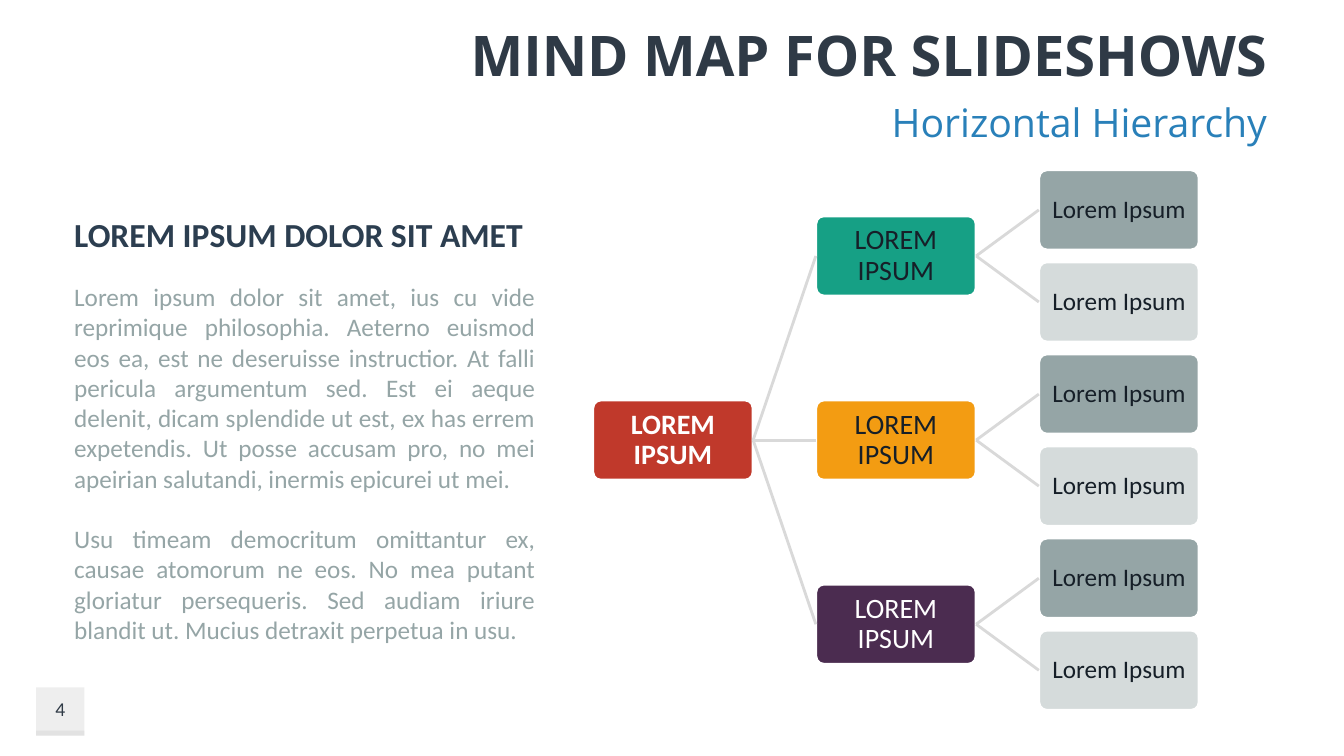
from dataclasses import dataclass
from typing import Any

from lxml import etree
from pptx import Presentation
from pptx import util as u
from pptx.dml import color
from pptx.enum import shapes, text
from pptx.oxml import ns


@dataclass(frozen=True)
class Theme:
    heading_font: str = "Open Sans"
    body_font: str = "Calibri"
    title_size: int = 40
    subtitle_size: int = 28
    intro_size: int = 24
    branch_size: int = 20
    body_size: int = 18
    number_size: int = 14
    slate: str = "2F3A46"
    sky: str = "2980B9"
    navy: str = "2C3E50"
    ink: str = "161F28"
    white: str = "FFFFFF"
    red: str = "C0392B"
    green: str = "16A085"
    orange: str = "F39C12"
    purple: str = "4B2C50"
    grey: str = "95A5A6"
    mist: str = "D5DBDB"
    link: str = "D9D9D9"
    badge: str = "BFBFBF"


@dataclass(frozen=True)
class Box:
    left: float
    top: float
    width: float
    height: float

    def lengths(self) -> list[u.Length]:
        return [u.Cm(v) for v in (self.left, self.top, self.width, self.height)]


@dataclass(frozen=True)
class Style:
    size: int
    colour: str
    font: str = Theme.body_font
    bold: bool = False
    align: Any = text.PP_ALIGN.LEFT
    anchor: Any = text.MSO_ANCHOR.TOP
    spacing: float = 1.0
    gap: float = 0


@dataclass(frozen=True)
class Node:
    label: str
    fill: str
    style: Style


@dataclass(frozen=True)
class Caption:
    box: Box
    style: Style
    paragraphs: tuple[str, ...]


THEME = Theme()
ALIGN = text.PP_ALIGN
ANCHOR = text.MSO_ANCHOR
NODE_WIDTH, NODE_HEIGHT = 4.04, 2.02
ROOT_LEFT, COLUMN_STEP = 14.94, 5.62
LEAF_TOP, LEAF_STEP = 4.28, 2.32
NODE_INSET = 0.13
TOP_SIDE, LEFT_SIDE, BOTTOM_SIDE, RIGHT_SIDE = range(4)


def apply(target: Any, values: dict[str, Any]) -> None:
    for name, value in values.items():
        setattr(target, name, value)


def rgb(value: str) -> color.RGBColor:
    return color.RGBColor.from_string(value)


def write(frame: Any, style: Style, paragraphs: tuple[str, ...]) -> None:
    apply(frame, {"word_wrap": True, "vertical_anchor": style.anchor})
    for index, words in enumerate(paragraphs):
        paragraph = frame.paragraphs[0] if index == 0 else frame.add_paragraph()
        apply(paragraph, {
            "alignment": style.align,
            "line_spacing": style.spacing,
            "space_before": u.Pt(style.gap if index else 0),
        })
        run = paragraph.add_run()
        run.text = words
        apply(run.font, {"name": style.font, "size": u.Pt(style.size), "bold": style.bold})
        run.font.color.rgb = rgb(style.colour)


def add_caption(slide: Any, caption: Caption) -> None:
    write(slide.shapes.add_textbox(*caption.box.lengths()).text_frame,
          caption.style, caption.paragraphs)


def add_filled(slide: Any, kind: Any, box: Box, fill: str) -> Any:
    shape = slide.shapes.add_shape(kind, *box.lengths())
    shape.shadow.inherit = False
    shape.fill.solid()
    shape.fill.fore_color.rgb = rgb(fill)
    return shape


def add_badge(slide: Any, box: Box) -> None:
    badge = add_filled(slide, shapes.MSO_SHAPE.RECTANGLE, box, THEME.badge)
    badge.line.fill.background()
    tint = badge.element.spPr.find(".//" + ns.qn("a:srgbClr"))
    etree.SubElement(tint, ns.qn("a:alpha"), val="25000")


def add_node(slide: Any, node: Node, column: int, row: float) -> Any:
    box = Box(ROOT_LEFT + column * COLUMN_STEP, LEAF_TOP + row * LEAF_STEP,
              NODE_WIDTH, NODE_HEIGHT)
    shape = add_filled(slide, shapes.MSO_SHAPE.ROUNDED_RECTANGLE, box, node.fill)
    shape.adjustments[0] = 0.1
    shape.line.color.rgb = rgb(THEME.white)
    shape.line.width = u.Pt(2)
    sides = ("left", "top", "right", "bottom")
    apply(shape.text_frame, {f"margin_{side}": u.Cm(NODE_INSET) for side in sides})
    write(shape.text_frame, node.style, (node.label,))
    return shape


def add_link(slide: Any, parent: Any, child: Any) -> None:
    link = slide.shapes.add_connector(shapes.MSO_CONNECTOR.STRAIGHT, 0, 0, 0, 0)
    link.begin_connect(parent, RIGHT_SIDE)
    link.end_connect(child, LEFT_SIDE)
    link.line.color.rgb = rgb(THEME.link)
    link.line.width = u.Pt(2)
    etree.SubElement(link.element.spPr, ns.qn("a:effectLst"))


def node_style(size: int, colour: str, bold: bool = False) -> Style:
    return Style(size, colour, bold=bold, align=ALIGN.CENTER,
                 anchor=ANCHOR.MIDDLE, spacing=0.9)


def add_hierarchy(slide: Any) -> None:
    branch_label = "LOREM IPSUM"
    root = Node(branch_label, THEME.red, node_style(THEME.branch_size, THEME.white, True))
    branches = [
        Node(branch_label, fill, node_style(THEME.branch_size, ink))
        for fill, ink in ((THEME.green, THEME.ink), (THEME.orange, THEME.ink),
                          (THEME.purple, THEME.white))
    ]
    leaves = [Node("Lorem Ipsum", fill, node_style(THEME.body_size, THEME.ink))
              for fill in (THEME.grey, THEME.mist)]
    pairs = []
    trunk = add_node(slide, root, 0, (len(branches) * len(leaves) - 1) / 2)
    for index, branch in enumerate(branches):
        first_row = index * len(leaves)
        limb = add_node(slide, branch, 1, first_row + (len(leaves) - 1) / 2)
        pairs.append((trunk, limb))
        for offset, leaf in enumerate(leaves):
            pairs.append((limb, add_node(slide, leaf, 2, first_row + offset)))
    for parent, child in pairs:
        add_link(slide, parent, child)


CAPTIONS = (
    Caption(Box(4.95, 0.38, 27.23, 1.96),
            Style(THEME.title_size, THEME.slate, THEME.heading_font, True,
                  ALIGN.RIGHT, ANCHOR.MIDDLE),
            ("MIND MAP FOR SLIDESHOWS",)),
    Caption(Box(4.95, 2.36, 27.23, 1.45),
            Style(THEME.subtitle_size, THEME.sky, THEME.heading_font, align=ALIGN.RIGHT),
            ("Horizontal Hierarchy",)),
    Caption(Box(1.62, 5.25, 12.12, 1.27),
            Style(THEME.intro_size, THEME.navy, bold=True, anchor=ANCHOR.BOTTOM),
            ("LOREM IPSUM DOLOR SIT AMET",)),
    Caption(Box(1.62, 6.97, 12.12, 9.5),
            Style(THEME.body_size, THEME.grey, align=ALIGN.JUSTIFY, gap=21.6),
            ("Lorem ipsum dolor sit amet, ius cu vide reprimique philosophia. Aeterno "
             "euismod eos ea, est ne deseruisse instructior. At falli pericula argumentum "
             "sed. Est ei aeque delenit, dicam splendide ut est, ex has errem expetendis. "
             "Ut posse accusam pro, no mei apeirian salutandi, inermis epicurei ut mei.",
             "Usu timeam democritum omittantur ex, causae atomorum ne eos. No mea putant "
             "gloriatur persequeris. Sed audiam iriure blandit ut. Mucius detraxit "
             "perpetua in usu.")),
    Caption(Box(0.91, 17.32, 1.22, 1.09),
            Style(THEME.number_size, THEME.slate, align=ALIGN.CENTER, anchor=ANCHOR.MIDDLE),
            ("4",)),
)
BADGES = (Box(0.91, 17.32, 1.22, 1.22), Box(0.91, 18.41, 1.22, 0.13))


def main() -> None:
    deck = Presentation()
    apply(deck, {"slide_width": u.Cm(33.87), "slide_height": u.Cm(19.05)})
    slide = deck.slides.add_slide(deck.slide_layouts[6])
    for badge in BADGES:
        add_badge(slide, badge)
    add_hierarchy(slide)
    for caption in CAPTIONS:
        add_caption(slide, caption)
    deck.save("out.pptx")


if __name__ == "__main__":
    main()
